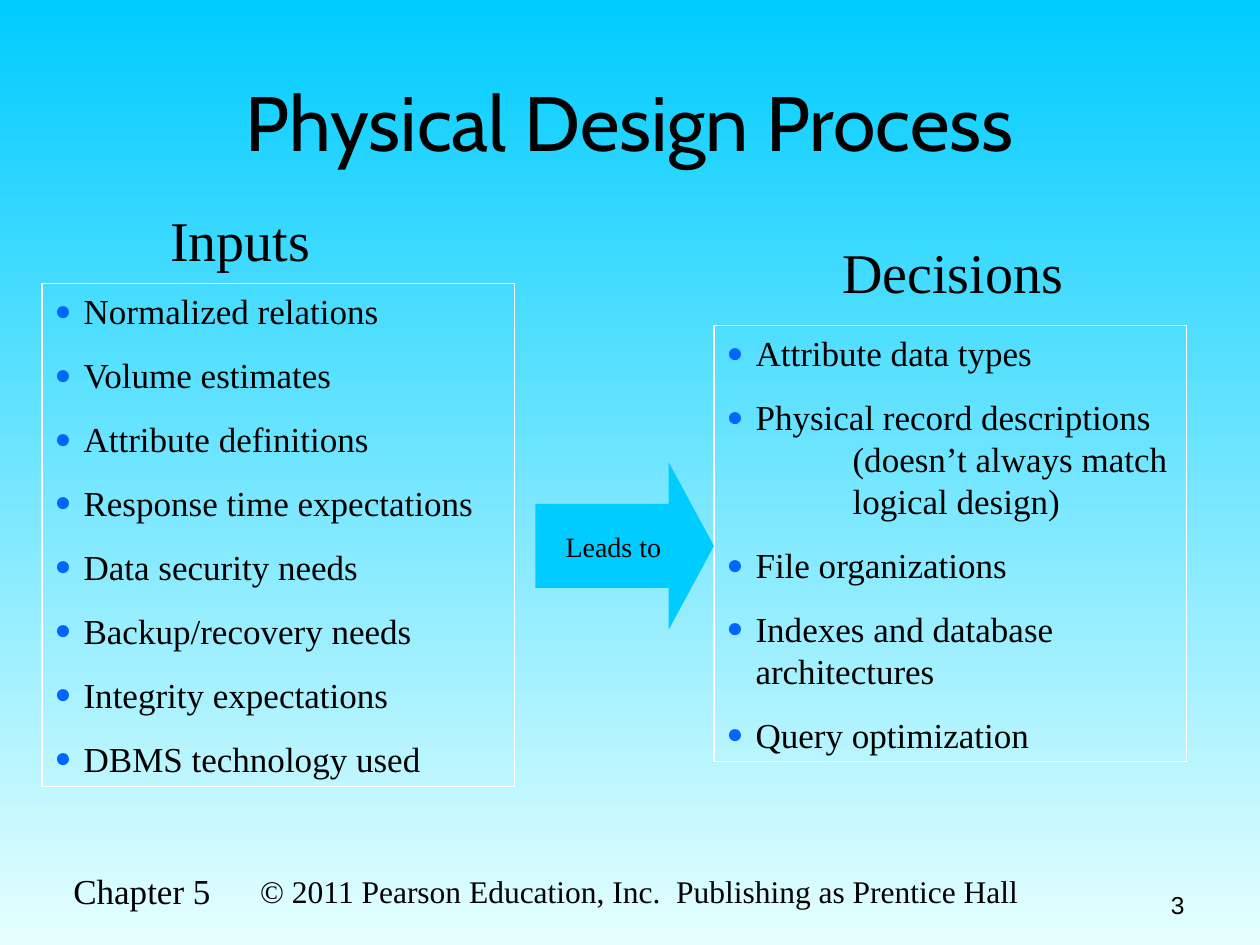
from dataclasses import dataclass

from lxml.etree import SubElement
from pptx import Presentation
from pptx.dml.color import RGBColor
from pptx.enum.shapes import MSO_SHAPE as Shape
from pptx.enum.text import MSO_ANCHOR as Anchor, MSO_AUTO_SIZE as AutoSize, PP_ALIGN as Align
from pptx.oxml.ns import qn
from pptx.util import Inches, Pt


@dataclass(frozen=True)
class Theme:
    ink: str = "000000"
    sky: str = "00CCFF"
    pale: str = "E5FFFF"
    frame: str = "FFFFFF"
    bullet: str = "0066FF"
    title_font: str = "Cabin"
    body_font: str = "Times New Roman"
    number_font: str = "Arial"
    title_size: int = 44
    heading_size: int = 32
    body_size: int = 20
    footer_size: int = 18
    label_size: int = 16
    number_size: int = 14


THEME = Theme()
COLUMNS, ROWS = 120, 90
CELL = Inches(10) / COLUMNS

INPUTS = ["Normalized relations", "Volume estimates", "Attribute definitions",
          "Response time expectations", "Data security needs",
          "Backup/recovery needs", "Integrity expectations", "DBMS technology used"]
DECISIONS = ["Attribute data types",
             "Physical record descriptions\v\t(doesn’t always match\v\tlogical design)",
             "File organizations", "Indexes and database architectures",
             "Query optimization"]


def color(value):
    return RGBColor.from_string(value)


def cells(*box):
    """Turn grid columns and rows into lengths."""
    return [round(n * CELL) for n in box]


def place(shape, box):
    shape.left, shape.top, shape.width, shape.height = cells(*box)


def style(paragraph, size, font=THEME.body_font, align=Align.LEFT):
    paragraph.alignment = align
    paragraph.font.size = Pt(size)
    paragraph.font.name = font
    paragraph.font.bold = False
    paragraph.font.color.rgb = color(THEME.ink)


def write(shape, text, size, font=THEME.body_font, align=Align.LEFT,
          anchor=Anchor.TOP, wrap=True):
    frame = shape.text_frame
    frame.text = text
    frame.word_wrap = wrap
    frame.auto_size = AutoSize.NONE
    frame.vertical_anchor = anchor
    first = frame.paragraphs[0]
    first.space_before = Pt(0)
    style(first, size, font, align)


def add_bullet(paragraph):
    props = paragraph._p.get_or_add_pPr()
    props.set("marL", str(Inches(0.23)))
    props.set("indent", str(-Inches(0.23)))
    bullet_color = SubElement(props, qn("a:buClr"))
    SubElement(bullet_color, qn("a:srgbClr"), val=THEME.bullet)
    SubElement(props, qn("a:buSzPct"), val="80000")
    SubElement(props, qn("a:buFont"), typeface=THEME.body_font)
    SubElement(props, qn("a:buChar"), char="●")
    tabs = SubElement(props, qn("a:tabLst"))
    for inch in range(1, 9):
        SubElement(tabs, qn("a:tab"), pos=str(Inches(inch)), algn="l")


def paint_background(slide):
    fill = slide.background.fill
    fill.gradient()
    fill.gradient_angle = 270
    for stop, position, value in zip(fill.gradient_stops, (0, 1), (THEME.sky, THEME.pale)):
        stop.position = position
        stop.color.rgb = color(value)


def fill_list(heading, body, title, items, box, heading_offset, heading_width):
    """Place a framed list in box, with its heading above it."""
    left, top = box[:2]
    place(heading, (left + 11, top - heading_offset, heading_width, 7.7))
    write(heading, title, THEME.heading_size)

    place(body, box)
    body.line.color.rgb = color(THEME.frame)
    body.line.width = Pt(0.75)
    frame = body.text_frame
    frame.text = "\n".join(items)
    frame.word_wrap = True
    frame.auto_size = AutoSize.NONE
    for index, paragraph in enumerate(frame.paragraphs):
        add_bullet(paragraph)
        paragraph.space_before = Pt(12.5 if index else 0)
        style(paragraph, THEME.body_size)


def add_arrow(slide, box):
    arrow = slide.shapes.add_shape(Shape.RIGHT_ARROW, *cells(*box))
    arrow.adjustments[1] = 0.27
    arrow.shadow.inherit = False
    arrow.fill.solid()
    arrow.fill.fore_color.rgb = color(THEME.sky)
    arrow.line.fill.background()
    write(arrow, "Leads to", THEME.label_size, align=Align.CENTER,
          anchor=Anchor.MIDDLE, wrap=False)


def add_footer(slide, top):
    def add_text(box, *args, **kwargs):
        write(slide.shapes.add_textbox(*cells(*box)), *args, **kwargs)

    add_text((5.8, top + 1.2, 15.5, 5.3), "Chapter 5", THEME.body_size, wrap=False)
    add_text((19, top, 83.8, 6.2),
             "© 2011 Pearson Education, Inc.  Publishing as Prentice Hall",
             THEME.footer_size, align=Align.CENTER, anchor=Anchor.BOTTOM)
    add_text((86, top + 1, 28, 6.2), "3", THEME.number_size, THEME.number_font,
             Align.RIGHT, Anchor.BOTTOM)


def build_process_slide(deck):
    slide = deck.slides.add_slide(deck.slide_layouts.get_by_name("Comparison"))
    title, inputs_heading, inputs, decisions_heading, decisions = slide.placeholders
    paint_background(slide)

    # Title
    place(title, (9, 4, 102, 15))
    write(title, "Physical Design Process", THEME.title_size, THEME.title_font,
          Align.CENTER, Anchor.MIDDLE)

    # Inputs lead to decisions
    fill_list(inputs_heading, inputs, "Inputs", INPUTS, (4, 27, 45, 47.9), 8, 17)
    fill_list(decisions_heading, decisions, "Decisions", DECISIONS,
              (68, 31, 45, 41.5), 9, 25)
    add_arrow(slide, (51, 44, 17, 16))

    # Footer
    add_footer(slide, 81)


def main():
    deck = Presentation()
    deck.slide_width, deck.slide_height = cells(COLUMNS, ROWS)
    build_process_slide(deck)
    deck.save("out.pptx")


if __name__ == "__main__":
    main()
